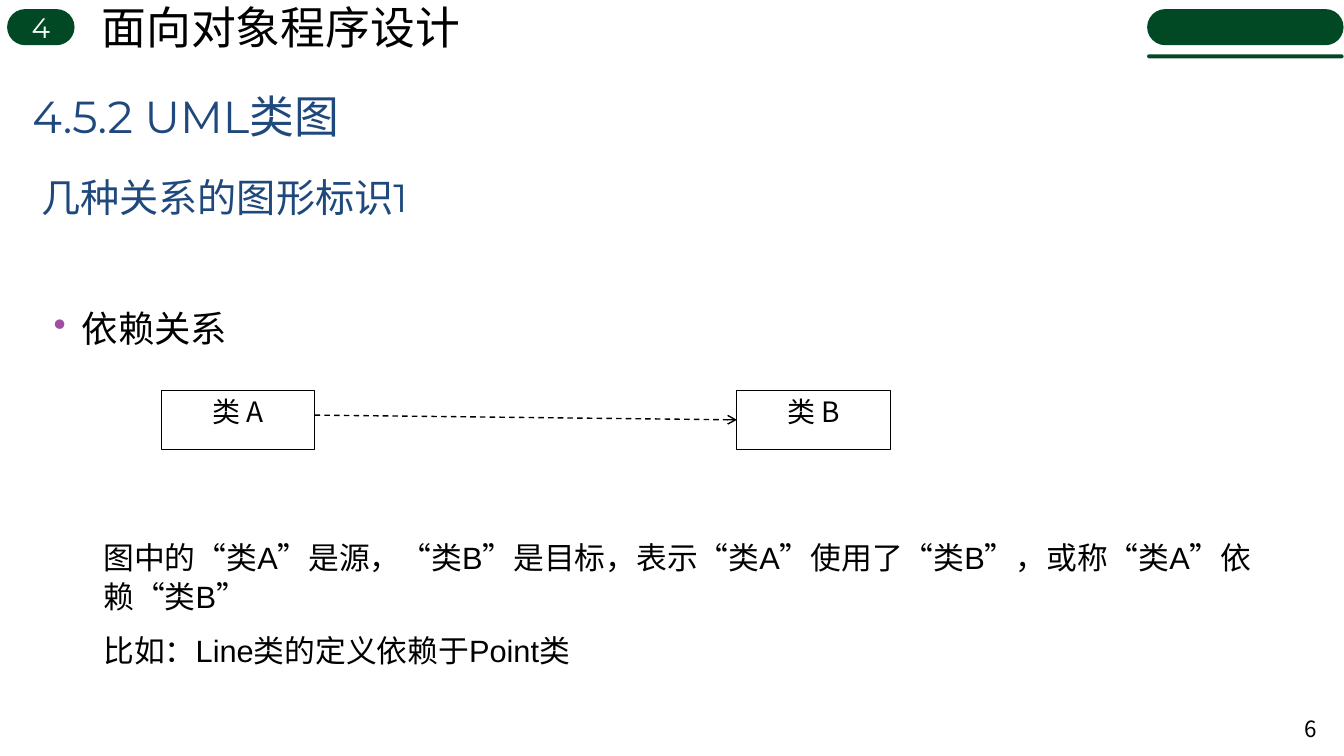
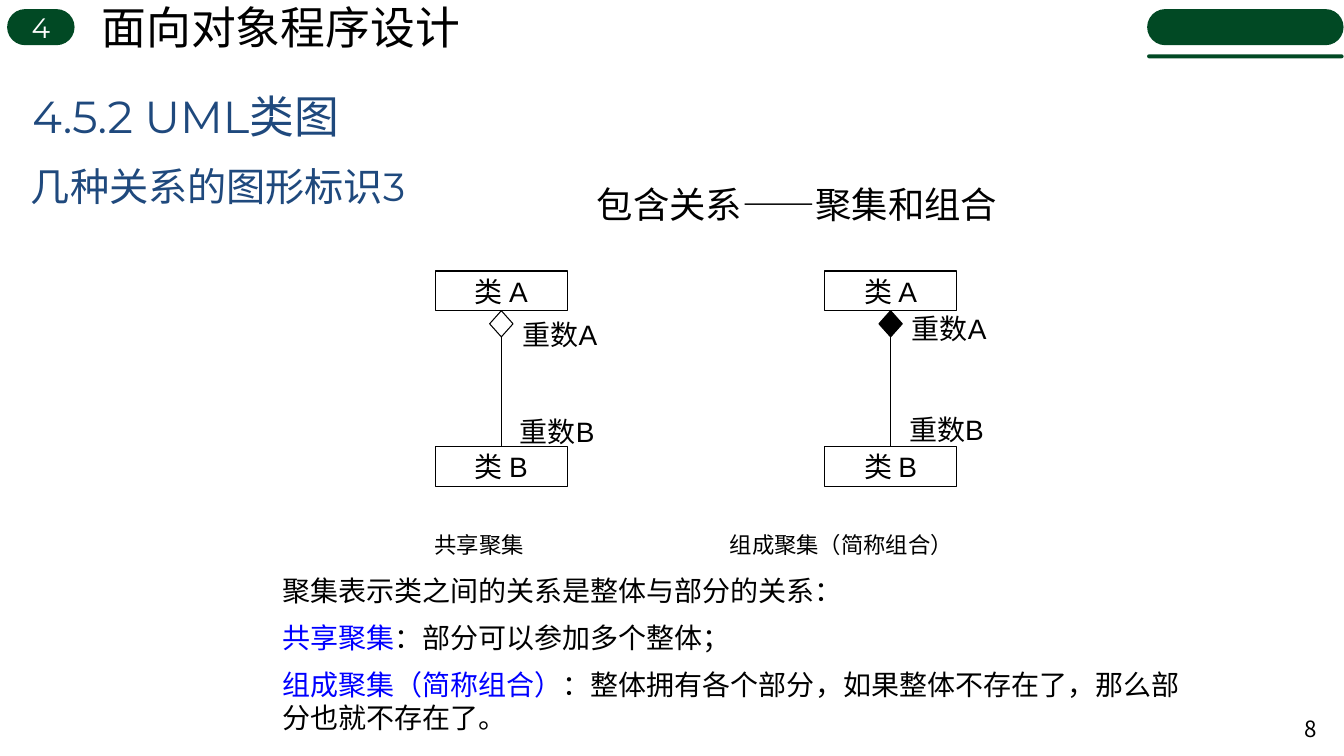
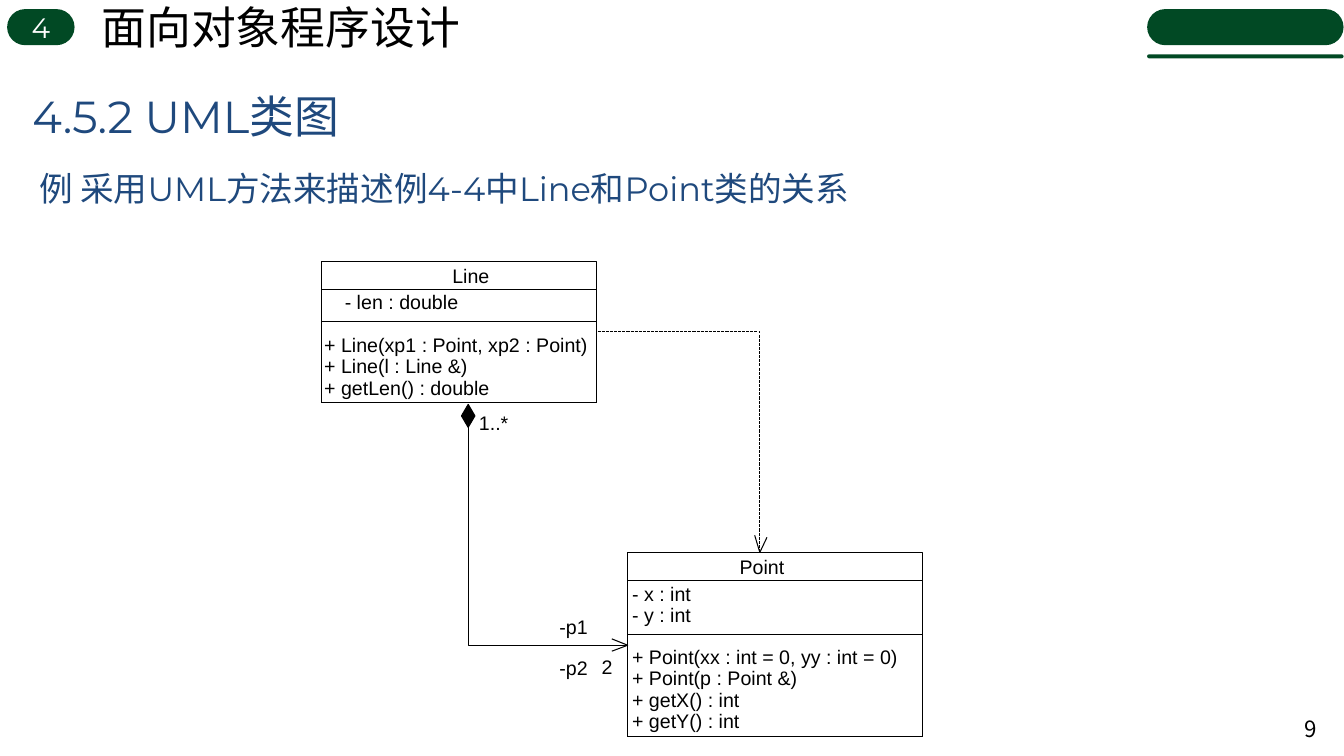
from dataclasses import dataclass

from lxml import etree
from pptx import Presentation, util as u
from pptx.dml.color import RGBColor
from pptx.enum import dml, shapes, text
from pptx.oxml.ns import qn

Cm, Pt = u.Cm, u.Pt
KIND = shapes.MSO_SHAPE
ALIGN = text.PP_ALIGN
ANCHOR = text.MSO_ANCHOR


@dataclass(frozen=True)
class Theme:
    green: str = "014924"
    navy: str = "1F497D"
    black: str = "000000"
    white: str = "FFFFFF"
    blue: str = "0000FF"
    purple: str = "A04DA3"
    heading_font: str = "Montserrat"
    body_font: str = "Arial"
    cjk_font: str = "Noto Sans CJK SC"
    title: int = 32
    subtitle: int = 28
    example: int = 24
    topic: int = 26
    body: int = 22
    label: int = 20
    caption: int = 16
    code: int = 14


theme = Theme()


def put(slide, kind, left, top, width, height, fill=None, line=None):
    """Add a preset shape, or a text box when kind is None; lengths in cm."""
    place = [Cm(n) for n in (left, top, width, height)]
    if kind is None:
        return slide.shapes.add_textbox(*place)
    shape = slide.shapes.add_shape(kind, *place)
    shape.shadow.inherit = False
    if fill:
        shape.fill.solid()
        shape.fill.fore_color.rgb = RGBColor.from_string(fill)
    else:
        shape.fill.background()
    if line is None:
        shape.line.fill.background()
    else:
        shape.line.color.rgb = RGBColor.from_string(theme.black)
        shape.line.width = Pt(line)
    return shape


def write(shape, content, size, font=theme.body_font, color=theme.black,
          align=ALIGN.LEFT, anchor=ANCHOR.MIDDLE, spacing=None, after=0, inset=None):
    """Fill a shape with text: one string, or paragraphs of (words, colour) runs."""
    if isinstance(content, str):
        content = [[(line, color)] for line in content.split("\n")]
    frame = shape.text_frame
    frame.word_wrap = True
    frame.auto_size = text.MSO_AUTO_SIZE.NONE
    frame.vertical_anchor = anchor
    if inset is not None:
        frame.margin_left = frame.margin_right = Cm(inset)
        frame.margin_top = frame.margin_bottom = Cm(inset)
    for number, runs in enumerate(content):
        paragraph = frame.add_paragraph() if number else frame.paragraphs[0]
        paragraph.alignment = align
        paragraph.space_after = Pt(after)
        if spacing:
            paragraph.line_spacing = spacing
        for words, run_color in runs:
            run = paragraph.add_run()
            run.text = words
            run.font.size = Pt(size)
            run.font.name = font
            run.font.color.rgb = RGBColor.from_string(run_color)
            east_asian = etree.SubElement(run.font._element, qn("a:ea"))
            east_asian.set("typeface", theme.cjk_font)
    return shape


prs = Presentation()
prs.slide_width, prs.slide_height = Cm(33.87), Cm(19.05)

# Shared frame: chapter band, title, subtitle, page number
pages = [
    ("6", "几种关系的图形标识1", theme.subtitle, 0.79, 3.84),
    ("8", "几种关系的图形标识3", theme.subtitle, 0.53, 3.56),
    ("9", "例 采用UML方法来描述例4-4中Line和Point类的关系", theme.example, 0.74, 3.61),
]
for page, subtitle, subtitle_size, left, top in pages:
    slide = prs.slides.add_slide(prs.slide_layouts[5])
    for band in ((0.18, 0.23, 1.7, 0.91), (28.91, 0.23, 4.95, 0.91), (28.91, 1.37, 4.95, 0.1)):
        pill = put(slide, KIND.ROUNDED_RECTANGLE, *band, fill=theme.green)
        pill.adjustments[0] = 0.5
        if band[0] < 1:
            write(pill, "4", theme.label, theme.heading_font, theme.white, ALIGN.CENTER, inset=0)
    write(put(slide, None, 2.31, -0.15, 10.5, 1.63), "面向对象程序设计", theme.title)
    write(put(slide, None, 32.2, 17.86, 1.25, 1.02), page, theme.caption,
          theme.cjk_font, align=ALIGN.RIGHT)
    title = slide.shapes.title
    title.left, title.top, title.width, title.height = Cm(0.56), Cm(2.18), Cm(9.35), Cm(1.63)
    write(title, "4.5.2 UML类图", theme.title, theme.heading_font, theme.navy, spacing=0.9)
    write(put(slide, None, left, top, 10.7 if page == "8" else 24, 2.24), subtitle,
          subtitle_size, theme.heading_font, theme.navy)

dependency, containment, example = prs.slides
connectors = []

# Dependency: bulleted topic
topic = put(dependency, None, 0.79, 7.5, 31.42, 1.55)
properties = topic.text_frame.paragraphs[0]._p.get_or_add_pPr()
properties.set("marL", str(Cm(1.02)))
properties.set("indent", str(Cm(-0.71)))
bullet_color = etree.SubElement(properties, qn("a:buClr"))
etree.SubElement(bullet_color, qn("a:srgbClr")).set("val", theme.purple)
etree.SubElement(properties, qn("a:buChar")).set("char", "•")
write(topic, "依赖关系", theme.topic)

# Dependency: two classes and a dashed arrow
for name, left in (("类 A", 4.06), ("类 B", 18.57)):
    class_box = put(dependency, KIND.RECTANGLE, left, 9.84, 3.87, 1.48, line=0.75)
    write(class_box, name, theme.label, theme.cjk_font, align=ALIGN.CENTER, inset=0)
    class_box.text_frame.margin_bottom = Cm(0.45)
uses = dependency.shapes.add_connector(
    shapes.MSO_CONNECTOR.STRAIGHT, Cm(7.93), Cm(10.46), Cm(18.57), Cm(10.58))
uses.end_connect(class_box, 1)
connectors.append((uses, 1))

# Dependency: explanation
write(put(dependency, None, 2.36, 13.4, 29.85, 4),
      "图中的“类A”是源，“类B”是目标，表示“类A”使用了“类B”，或称“类A”依赖“类B”\n"
      "比如：Line类的定义依赖于Point类",
      theme.body, anchor=ANCHOR.TOP, spacing=Pt(28), after=10)

# Containment: heading and the two aggregation diagrams
write(put(containment, None, 13.74, 4.4, 12.7, 1.5), "包含关系——聚集和组合",
      theme.topic, align=ALIGN.CENTER)
aggregations = [
    (10.97, None, 7.9, 10.34, "共享聚集", 10.7),
    (20.78, theme.black, 7.75, 10.29, "组成聚集（简称组合）", 18.14),
]
for left, diamond_fill, top_a, top_b, caption, caption_left in aggregations:
    for name, top in (("类 A", 6.83), ("类 B", 11.25)):
        class_box = put(containment, KIND.RECTANGLE, left, top, 3.33, 1, line=0.75)
        write(class_box, name, theme.label, align=ALIGN.CENTER, inset=0)
    diamond = put(containment, KIND.DIAMOND, left + 1.37, 7.83, 0.59, 0.66, diamond_fill, 0.75)
    stem = containment.shapes.add_connector(shapes.MSO_CONNECTOR.STRAIGHT, 0, 0, 0, 0)
    stem.begin_connect(diamond, 2)
    stem.end_connect(class_box, 0)
    connectors.append((stem, 0.75))
    for multiplicity, shift, top in (("重数A", 1.95, top_a), ("重数B", 1.88, top_b)):
        write(put(containment, None, left + shift, top, 3.33, 1.07), multiplicity, theme.label)
    write(put(containment, None, caption_left, 13.2, 6.5, 1.05), caption, theme.caption)

# Containment: explanation
write(put(containment, None, 6.86, 14.32, 23.24, 4.6), [
    [("聚集表示类之间的关系是整体与部分的关系：", theme.black)],
    [("共享聚集", theme.blue), ("：部分可以参加多个整体；", theme.black)],
    [("组成聚集（简称组合）", theme.blue),
     ("：整体拥有各个部分，如果整体不存在了，那么部分也就不存在了。", theme.black)],
], theme.label, anchor=ANCHOR.TOP, spacing=Pt(24), after=9.5)

# Example: class frames, each compartment reaching down to the bottom edge
for left, width, tops, bottom in (
        (15.82, 7.42, (13.92, 14.63, 15.98), 18.55),
        (8.1, 6.93, (6.58, 7.29, 8.1), 10.15)):
    for top in tops:
        put(example, KIND.RECTANGLE, left, top, width, bottom - top, line=0)

# Example: class members, roles and multiplicities
for words, left, top, width in (
        ("Point", 18.64, 14.05, 2),
        ("- x : int\n- y : int", 15.93, 14.71, 4),
        ("+ Point(xx : int = 0, yy : int = 0)\n+ Point(p : Point &)\n"
         "+ getX() : int\n+ getY() : int", 15.93, 16.31, 7.3),
        ("Line", 11.4, 6.71, 2),
        ("- len : double", 8.69, 7.37, 4),
        ("+ Line(xp1 : Point, xp2 : Point)\n+ Line(l : Line &)\n"
         "+ getLen() : double", 8.17, 8.45, 7.3),
        ("1..*", 12.07, 10.41, 1.2),
        ("-p1", 14.1, 15.54, 1),
        ("-p2", 14.1, 16.59, 1),
        ("2", 15.16, 16.56, 0.5)):
    height = 0.61 + 0.53 * words.count("\n")
    write(put(example, None, left, top, width, height), words, theme.code,
          anchor=ANCHOR.TOP, spacing=Pt(15.2), inset=0)

# Example: composition and association paths with open arrowheads
put(example, KIND.DIAMOND, 11.63, 10.19, 0.34, 0.58, theme.black, 0)
for points, dashed in (
        (((11.8, 10.19), (11.8, 16.26), (15.82, 16.26)), False),
        (((15.42, 16.1), (15.82, 16.26), (15.42, 16.41)), False),
        (((15.06, 8.36), (19.15, 8.36), (19.15, 13.92)), True),
        (((19.02, 13.49), (19.15, 13.92), (19.33, 13.54)), False)):
    start, *rest = [(Cm(x), Cm(y)) for x, y in points]
    outline = example.shapes.build_freeform(*start)
    outline.add_line_segments(rest, close=False)
    route = outline.convert_to_shape()
    route.shadow.inherit = False
    route.fill.background()
    route.line.color.rgb = RGBColor.from_string(theme.black)
    route.line.width = Pt(0)
    if dashed:
        route.line.dash_style = dml.MSO_LINE.SQUARE_DOT

# Connector style
for connector, width in connectors:
    connector.line.color.rgb = RGBColor.from_string(theme.black)
    connector.line.width = Pt(width)
    if connector is uses:
        connector.line.dash_style = dml.MSO_LINE.DASH
        etree.SubElement(connector.line._get_or_add_ln(), qn("a:tailEnd")).set("type", "arrow")
    etree.SubElement(connector._element.spPr, qn("a:effectLst"))

prs.save("out.pptx")
